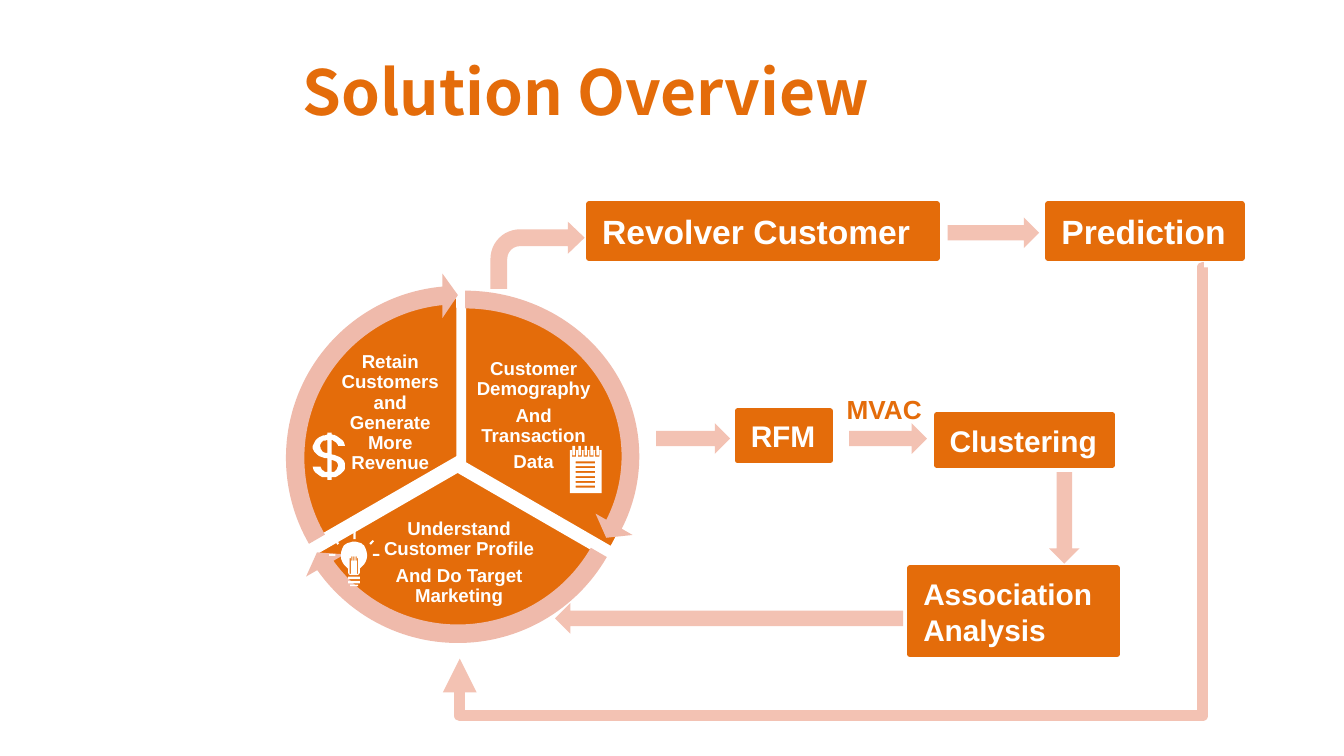
from lxml import etree
from pptx import Presentation
from pptx.dml.color import RGBColor
from pptx.enum.shapes import MSO_CONNECTOR as Link, MSO_SHAPE as Shape
from pptx.enum.text import MSO_ANCHOR as Anchor, MSO_AUTO_SIZE as Fit, PP_ALIGN as Align
from pptx.oxml.ns import qn
from pptx.util import Cm, Pt

COLORS = {"orange": "E46C0A", "white": "FFFFFF", "arc": "EFBAAB", "arrow": "F3C2B3"}


def color(name):
    return RGBColor.from_string(COLORS[name])


def rect(left, top, right, bottom):
    return [(left, top), (right, top), (right, bottom), (left, bottom)]


def flatten(contour, steps=6):
    """Turn (x, y) corners and six-number cubic curves into plain points."""
    points = []
    for item in contour:
        if len(item) == 2:
            points.append(item)
            continue
        x0, y0 = points[-1]
        x1, y1, x2, y2, x3, y3 = item
        for step in range(1, steps + 1):
            t = step / steps
            u = 1 - t
            a, b, c, d = u ** 3, 3 * u * u * t, 3 * u * t * t, t ** 3
            points.append((a * x0 + b * x1 + c * x2 + d * x3,
                           a * y0 + b * y1 + c * y2 + d * y3))
    return points


class SlideBuilder:
    font = "Arial"
    title_font = "Noto Sans CJK SC"

    def __init__(self, page):
        self.page = page
        self.shapes = page.shapes

    def paint(self, shape, fill, line=None, width=0):
        shape.shadow.inherit = False
        shape.fill.solid()
        shape.fill.fore_color.rgb = color(fill)
        if line:
            shape.line.color.rgb = color(line)
            shape.line.width = Pt(width)
        else:
            shape.line.fill.background()

    def set_text(self, frame, lines, size, ink="white", align=Align.LEFT, font=None):
        frame.auto_size = Fit.NONE
        frame.text = "\n".join(lines)
        for para in frame.paragraphs:
            para.alignment = align
            para.font.name = font or self.font
            para.font.size = Pt(size)
            para.font.bold = True
            para.font.color.rgb = color(ink)

    def title(self, text, *place):
        box = self.shapes.title
        box.left, box.top, box.width, box.height = map(Cm, place)
        self.set_text(box.text_frame, [text], 33.3, "orange", font=self.title_font)
        box.text_frame.vertical_anchor = Anchor.MIDDLE

    def preset(self, kind, place, fill, adjust=(), line=None, width=0, turn=0):
        shape = self.shapes.add_shape(kind, *map(Cm, place))
        for index, value in enumerate(adjust):
            shape.adjustments[index] = value
        shape.rotation = turn
        self.paint(shape, fill, line, width)
        return shape

    def step(self, lines, size, *place):
        box = self.preset(Shape.RECTANGLE, place, "orange", line="orange", width=3)
        self.set_text(box.text_frame, lines, size)
        box.text_frame.word_wrap = False
        box.text_frame.vertical_anchor = Anchor.MIDDLE

    def slice_text(self, lines, place):
        frame = self.shapes.add_textbox(*map(Cm, place)).text_frame
        self.set_text(frame, lines, 10, align=Align.CENTER)
        frame.word_wrap = True
        frame.vertical_anchor = Anchor.MIDDLE
        frame.margin_left = frame.margin_right = Cm(0.03)
        frame.margin_top = frame.margin_bottom = Cm(0.03)
        for para in frame.paragraphs:
            para.line_spacing = 0.9
            para.space_after = Pt(3.5)

    def label(self, text, *place):
        frame = self.shapes.add_textbox(*map(Cm, place)).text_frame
        self.set_text(frame, [text], 14, "orange")
        frame.word_wrap = False

    def icon(self, contours, left, top):
        """Contours are in tenths of a millimetre; nested ones are holes."""
        outlines = [flatten(contour) for contour in contours]
        builder = self.shapes.build_freeform(*outlines[0][0], scale=Cm(0.01))
        for index, points in enumerate(outlines):
            if index:
                builder.move_to(*points[0])
            builder.add_line_segments(points[1:], close=True)
        self.paint(builder.convert_to_shape(Cm(left), Cm(top)), "white")

    def return_path(self, *ends):
        link = self.shapes.add_connector(Link.ELBOW, *map(Cm, ends))
        link.line.color.rgb = color("arrow")
        link.line.width = Pt(6)
        properties = link._element.spPr
        geometry = properties.find(qn("a:prstGeom"))
        geometry.set("prst", "bentConnector4")
        guides = geometry.find(qn("a:avLst"))
        if guides is None:
            guides = etree.SubElement(geometry, qn("a:avLst"))
        for name, value in (("adj1", 200), ("adj2", 114600)):
            etree.SubElement(guides, qn("a:gd"), name=name, fmla=f"val {value}")
        line = properties.find(qn("a:ln"))
        etree.SubElement(line, qn("a:tailEnd"), type="triangle")
        etree.SubElement(properties, qn("a:effectLst"))


# Icon outlines
NOTEPAD = [rect(0, 8, 60, 89)]
NOTEPAD += [rect(11, 29 + 9.2 * i, 48, 33 + 9.2 * i) for i in range(6)]
for ring in range(5):
    center = 7.5 + 11.25 * ring
    NOTEPAD += [rect(center - 4, 8, center + 4, 20), rect(center - 2.5, 0, center + 2.5, 18)]

BULB = [
    [(47, 18), (55, 18, 61, 20, 66, 25), (74, 36, 74, 53, 66, 61), (58, 69), (58, 76),
     (58, 79, 56, 81, 53, 81), (41, 81), (38, 81, 36, 79, 36, 76), (36, 69), (28, 61),
     (20, 53, 20, 36, 28, 25), (33, 20, 41, 18, 47, 18)],
    rect(36, 84, 58, 89), rect(36, 92, 58, 97), rect(40, 99, 55, 102),
    rect(39, 49, 41, 79), rect(53, 49, 55, 79),
    *[rect(x, 46, x + 2, 54) for x in (42, 46, 50)],
    rect(0, 41, 12, 45), rect(83, 41, 95, 45), rect(46, 0, 50, 13),
    [(10, 16), (13, 15), (19, 21), (16, 24)], [(82, 15), (85, 17), (79, 24), (76, 21)],
]

DOLLAR = [
    [(28, 0), (36, 0), (36, 3), (38, 4, 41, 4, 43, 5), (53, 10, 61, 18, 61, 25), (48, 25),
     (48, 20, 43, 18, 36, 13), (36, 41), (46, 43, 58, 46, 61, 58), (63, 69, 58, 76, 48, 81),
     (46, 84, 41, 84, 36, 84), (36, 89), (28, 89), (28, 84), (23, 84, 20, 84, 18, 84),
     (8, 79, 0, 71, 0, 64), (15, 64), (15, 66, 18, 71, 23, 74), (28, 74), (28, 48),
     (18, 48, 5, 43, 0, 30), (0, 20, 5, 13, 13, 8), (18, 5, 23, 5, 28, 3)],
    [(36, 51), (36, 74), (41, 74), (46, 69, 48, 66, 48, 61), (46, 53, 41, 53, 36, 51)],
    [(28, 13), (25, 15, 23, 15, 20, 15), (15, 18, 13, 23, 15, 28), (15, 33, 20, 38, 28, 38)],
]

# Pie place, start and end angles, text place, lines
SLICES = [
    ((5.56, 5.56, 6.43, 6.4), (162, 18), (8.94, 6.91, 2.29, 1.91),
     ["Customer Demography", "And Transaction", "Data"]),
    ((5.54, 5.79, 6.22, 6.22), (18, 90), (7.01, 9.83, 3.33, 1.63),
     ["Understand Customer Profile", "And Do Target Marketing"]),
    ((5.56, 5.61, 6.2, 6.07), (90, 162), (6.27, 6.91, 2.21, 1.8),
     ["Retain Customers and Generate More Revenue"]),
]
# Arc place, end and start angles
ARCS = [
    ((5.26, 5.26, 7.06, 6.73), 14.73, 162),
    ((5.16, 5.41, 6.99, 6.99), 86.72, 18),
    ((5.16, 5.16, 6.99, 6.99), 158.73, 90),
]
# Kind, place, rotation
ARROWS = [
    (Shape.RIGHT_ARROW, (12.4, 8, 1.4, 0.58), 0),
    (Shape.RIGHT_ARROW, (16.05, 8, 1.47, 0.58), 0),
    (Shape.RIGHT_ARROW, (19.25, 9.5, 1.73, 0.58), 90),
    (Shape.RIGHT_ARROW, (17.91, 4.11, 1.73, 0.58), 0),
    (Shape.LEFT_ARROW, (10.49, 11.4, 6.58, 0.58), 0),
]


def main():
    deck = Presentation()
    deck.slide_width, deck.slide_height = Cm(25.4), Cm(14.29)
    slide = SlideBuilder(deck.slides.add_slide(deck.slide_layouts[5]))
    slide.title("Solution Overview", 5.46, 0.91, 19.51, 1.6)

    # Process steps
    slide.step(["RFM"], 16, 13.94, 7.77, 1.75, 0.94)
    slide.step(["Clustering"], 16, 17.7, 7.85, 3.33, 0.94)
    slide.step(["Association", "Analysis"], 16, 17.2, 10.74, 3.91, 1.63)
    slide.step(["Revolver Customer"], 18, 11.13, 3.86, 6.58, 1.02)
    slide.step(["Prediction"], 18, 19.81, 3.86, 3.66, 1.02)

    # Cycle
    for place, angles, text_place, lines in SLICES:
        slide.preset(Shape.PIE, place, "orange", angles, "white", 2)
        slide.slice_text(lines, text_place)
    for place, end, start in ARCS:
        slide.preset(Shape.CIRCULAR_ARROW, place, "arc", (0.05, 3.28, end, start, 0.06))
    slide.icon(NOTEPAD, 10.77, 8.43)
    slide.icon(BULB, 6.22, 10.06)
    slide.icon(DOLLAR, 5.91, 8.18)

    # Flow arrows
    slide.preset(Shape.BENT_ARROW, (9.27, 4.19, 1.78, 1.27), "arrow", (0.25, 0.24, 0.25, 0.44))
    for kind, place, turn in ARROWS:
        slide.preset(kind, place, "arrow", turn=turn)
    slide.return_path(22.76, 5.05, 8.69, 12.45)
    slide.label("MVAC", 15.75, 7.32, 1.96, 0.86)

    deck.save("out.pptx")


if __name__ == "__main__":
    main()
